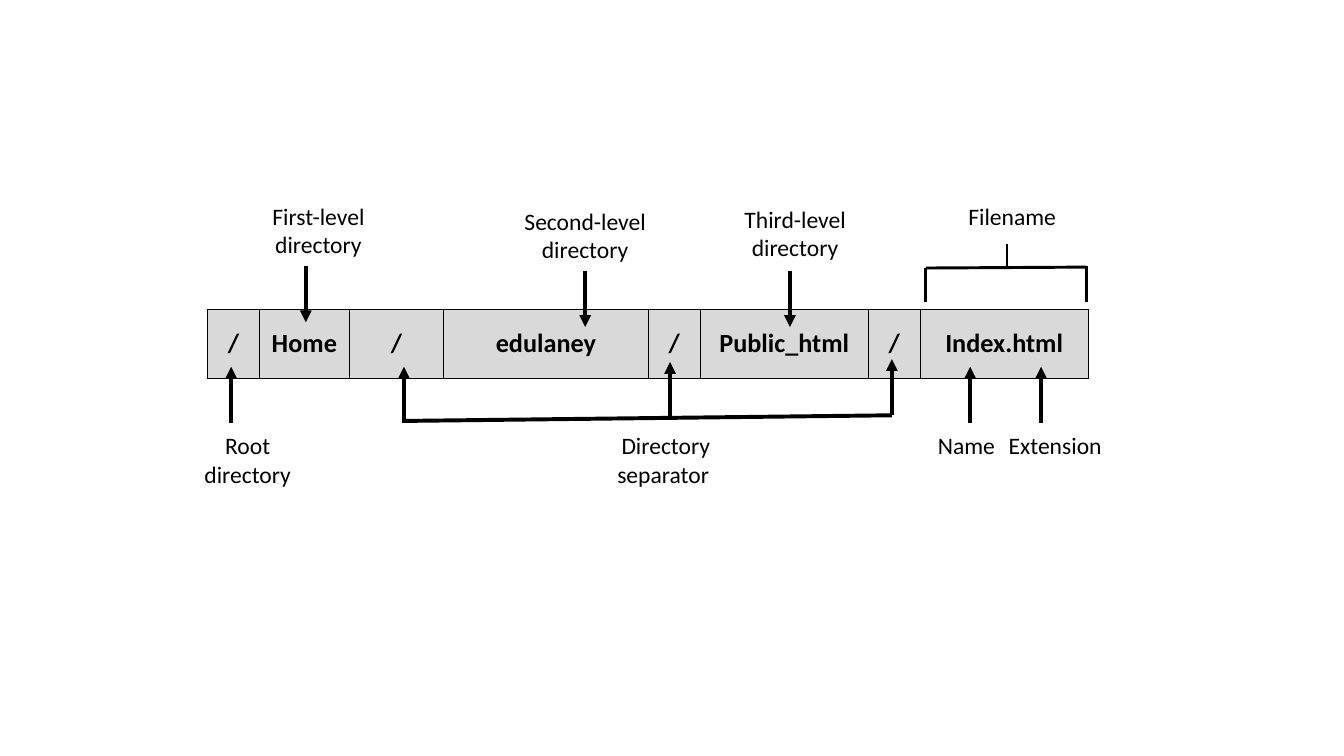
from typing import NamedTuple

from pptx import Presentation
from pptx.dml.color import RGBColor
from pptx.enum.shapes import MSO_CONNECTOR
from pptx.enum.text import MSO_ANCHOR, MSO_AUTO_SIZE, PP_ALIGN
from pptx.oxml import parse_xml
from pptx.oxml.ns import nsdecls, qn
from pptx.slide import Slide
from pptx.util import Pt

STRAIGHT = MSO_CONNECTOR.STRAIGHT
CENTER = PP_ALIGN.CENTER
MIDDLE = MSO_ANCHOR.MIDDLE
FIT_SHAPE = MSO_AUTO_SIZE.SHAPE_TO_FIT_TEXT

FONT = "Calibri"
BLACK = "000000"
GRAY = "D9D9D9"
BLANK_LAYOUT = 6

PATH_LEFT, PATH_TOP, PATH_HEIGHT = 158.4, 236.16, 52.56
ARROW_LENGTH = 42.8
ARROW_WIDTH, BRACKET_WIDTH = 3, 2.25
LABEL_WIDTH = 95.76
UPPER_TOP, LOWER_TOP = 150.48, 325.44
ONE_LINE, TWO_LINES = 26.64, 51.12


class PathPart(NamedTuple):
    text: str
    width: float


class Label(NamedTuple):
    text: str
    left: float
    top: float
    width: float = LABEL_WIDTH
    height: float = TWO_LINES


class Arrow(NamedTuple):
    x: float
    start_y: float
    direction: int


class Segment(NamedTuple):
    x1: float
    y1: float
    x2: float
    y2: float


DOWN, UP = 1, -1

PATH_PARTS = [
    PathPart("/", 39.6),
    PathPart("Home", 68.4),
    PathPart("/", 72),
    PathPart("edulaney", 156.24),
    PathPart("/", 39.6),
    PathPart("Public_html", 128.16),
    PathPart("/", 39.6),
    PathPart("Index.html", 128.16),
]

LABELS = [
    Label("First-level\ndirectory", 195.12, UPPER_TOP),
    Label("Second-level\ndirectory", 382.32, 154.08, width=128.16),
    Label("Third-level\ndirectory", 558.72, 152.64),
    Label("Filename", 724.32, UPPER_TOP, height=ONE_LINE),
    Label("Root directory", 141.12, LOWER_TOP),
    Label("Directory\nseparator ", 460.08, LOWER_TOP),
    Label("Name", 706.32, LOWER_TOP, width=61.92, height=ONE_LINE),
    Label("Extension", 761.76, LOWER_TOP, width=86.4, height=ONE_LINE),
]

FIRST_SEPARATOR_X, LAST_SEPARATOR_X = 308.16, 680.4
LOWER_START_Y = 322.56

ARROWS = [
    Arrow(233.28, 203.04, DOWN),
    Arrow(446.4, 206.64, DOWN),
    Arrow(602.64, 206.64, DOWN),
    Arrow(794.16, LOWER_START_Y, UP),
    Arrow(740.16, LOWER_START_Y, UP),
    Arrow(LAST_SEPARATOR_X, 316.8, UP),
    Arrow(511.2, 318.96, UP),
    Arrow(FIRST_SEPARATOR_X, LOWER_START_Y, UP),
    Arrow(176.4, LOWER_START_Y, UP),
]

SEPARATOR_BAR = Segment(FIRST_SEPARATOR_X, 321.12, LAST_SEPARATOR_X, 316.8)

BRACKET_LEFT, BRACKET_RIGHT, BRACKET_STEM = 706.32, 828.72, 768.24
FILENAME_BRACKET = [
    Segment(BRACKET_LEFT, 204.48, BRACKET_RIGHT, 203.76),
    Segment(BRACKET_RIGHT, 203.04, BRACKET_RIGHT, 230.4),
    Segment(BRACKET_LEFT, 204.48, BRACKET_LEFT, 230.4),
    Segment(BRACKET_STEM, 203.04, BRACKET_STEM, 186.48),
]


def color(value: str) -> RGBColor:
    return RGBColor.from_string(value)


def format_text(frame, size: float, bold: bool = False) -> None:
    for paragraph in frame.paragraphs:
        paragraph.alignment = CENTER
        for run in paragraph.runs:
            run.font.name = FONT
            run.font.size = Pt(size)
            run.font.bold = bold
            run.font.color.rgb = color(BLACK)


def add_cell_borders(cell) -> None:
    properties = cell._tc.get_or_add_tcPr()
    for side in "LRTB":
        properties.append(parse_xml(
            f'<a:ln{side} {nsdecls("a")} w="{Pt(1)}"><a:solidFill>'
            f'<a:srgbClr val="{BLACK}"/></a:solidFill></a:ln{side}>'
        ))


def draw_path(slide: Slide, parts: list[PathPart]) -> None:
    """Draw the file path as a one-row table, one cell per part."""
    total_width = sum(part.width for part in parts)
    table = slide.shapes.add_table(
        1, len(parts), Pt(PATH_LEFT), Pt(PATH_TOP), Pt(total_width), Pt(PATH_HEIGHT)
    ).table
    for index, part in enumerate(parts):
        table.columns[index].width = Pt(part.width)
        cell = table.cell(0, index)
        add_cell_borders(cell)
        cell.fill.solid()
        cell.fill.fore_color.rgb = color(GRAY)
        cell.vertical_anchor = MIDDLE
        cell.text_frame.text = part.text
        format_text(cell.text_frame, 20, bold=True)


def draw_label(slide: Slide, label: Label) -> None:
    frame = slide.shapes.add_textbox(
        Pt(label.left), Pt(label.top), Pt(label.width), Pt(label.height)
    ).text_frame
    frame.word_wrap = True
    frame.auto_size = FIT_SHAPE
    frame.text = label.text
    format_text(frame, 18)


def draw_segment(slide: Slide, segment: Segment, width: float, arrow: bool = False) -> None:
    connector = slide.shapes.add_connector(STRAIGHT, *(Pt(value) for value in segment))
    connector.line.color.rgb = color(BLACK)
    connector.line.width = Pt(width)
    properties = connector.element.spPr
    if arrow:
        properties.find(qn("a:ln")).append(
            parse_xml(f'<a:tailEnd {nsdecls("a")} type="triangle"/>')
        )
    properties.append(parse_xml(f'<a:effectLst {nsdecls("a")}/>'))


def draw_arrow(slide: Slide, arrow: Arrow) -> None:
    end_y = arrow.start_y + arrow.direction * ARROW_LENGTH
    shaft = Segment(arrow.x, arrow.start_y, arrow.x, end_y)
    draw_segment(slide, shaft, ARROW_WIDTH, arrow=True)


def main() -> None:
    presentation = Presentation()
    presentation.slide_width = Pt(1025.28)
    presentation.slide_height = Pt(576.72)
    slide = presentation.slides.add_slide(presentation.slide_layouts[BLANK_LAYOUT])

    draw_path(slide, PATH_PARTS)
    for label in LABELS:
        draw_label(slide, label)
    for arrow in ARROWS:
        draw_arrow(slide, arrow)
    draw_segment(slide, SEPARATOR_BAR, ARROW_WIDTH)
    for segment in FILENAME_BRACKET:
        draw_segment(slide, segment, BRACKET_WIDTH)

    presentation.save("out.pptx")


if __name__ == "__main__":
    main()
